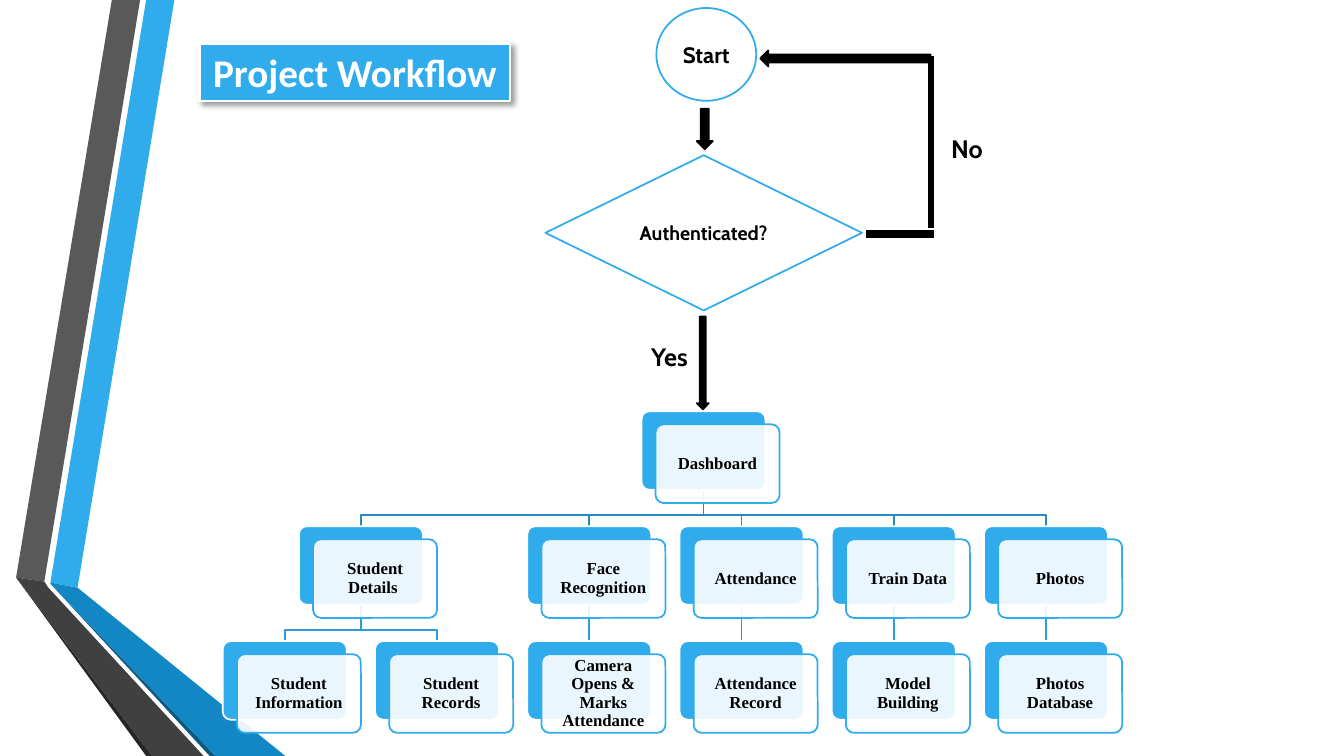
import dataclasses
import typing

import lxml.etree
import pptx
import pptx.dml.color
import pptx.enum.shapes
import pptx.enum.text
import pptx.oxml.ns
import pptx.util

Inches = pptx.util.Inches
Pt = pptx.util.Pt
Kind = pptx.enum.shapes.MSO_SHAPE
Point = tuple[float, float]

BLUE, BLACK, WHITE = "30ACEC", "000000", "FFFFFF"
WIDE, HIGH = 1.23, 0.78
LEFT, TOP = 2.21, 4.08
STEP, DROP = 1.51, 1.14
SHIFT_X, SHIFT_Y = 0.14, 0.13
BEND = 0.25
LINKS = {1: "268ABD", 2: "2C9CD6"}


@dataclasses.dataclass
class Band:
    color: str
    points: list[Point]


@dataclasses.dataclass
class Card:
    text: str
    col: float
    row: int
    root: typing.Optional[float] = None


@dataclasses.dataclass
class Mark:
    kind: Kind
    box: tuple[float, float, float, float]
    turn: int = 0
    fill: str = BLACK
    line: str = BLACK
    weight: float = 1.25
    text: str = ""
    size: int = 16


@dataclasses.dataclass
class Label:
    text: str
    x: float
    y: float


BANDS = [
    Band(BLUE, [(0.5, 5.78), (0.77, 5.83), (1.73, 0), (1.45, 0)]),
    Band("595959", [(1.39, 0), (1.11, 0), (0.16, 5.73), (0.44, 5.77)]),
    Band("262626", [(0.16, 5.73), (1.45, 7.5), (1.51, 7.5)]),
    Band("0C5A82", [(0.5, 5.79), (2.08, 7.5), (2.14, 7.5)]),
    Band("1287C3", [(0.5, 5.79), (2.14, 7.5), (2.83, 7.5), (0.77, 5.83), (0.5, 5.78)]),
    Band("404040", [(2.02, 7.5), (0.48, 5.83), (0.44, 5.77), (0.16, 5.73), (1.51, 7.5)]),
]

CARDS = [
    Card("Dashboard", 2.75, 0),
    Card("Student Details ", 0.5, 1, 2.75),
    Card("Student Information", 0, 2, 0.5),
    Card("Student Records", 1, 2, 0.5),
    Card("Face Recognition", 2, 1, 2.75),
    Card("Camera Opens & Marks Attendance", 2, 2, 2),
    Card("Attendance", 3, 1, 2.75),
    Card("Attendance Record", 3, 2, 3),
    Card("Train Data", 4, 1, 2.75),
    Card("Model Building", 4, 2, 4),
    Card("Photos", 5, 1, 2.75),
    Card("Photos Database", 5, 2, 5),
]

MARKS = [
    Mark(Kind.RIGHT_ARROW, (6.51, 3.54, 0.92, 0.12), 90),
    Mark(Kind.RECTANGLE, (8.35, 1.39, 1.77, 0.08), 270, line=WHITE, weight=1.75),
    Mark(Kind.DIAMOND, (5.41, 1.54, 3.14, 1.54), 0, WHITE, BLUE, text="Authenticated?", size=14),
    Mark(Kind.OVAL, (6.51, 0.08, 0.99, 0.92), 0, WHITE, BLUE, text="Start"),
    Mark(Kind.RIGHT_ARROW, (6.79, 1.2, 0.4, 0.16), 90),
    Mark(Kind.RECTANGLE, (8.58, 2.27, 0.7, 0.1), line=WHITE, weight=1.75),
    Mark(Kind.RIGHT_ARROW, (7.54, 0.5, 1.69, 0.16), 180),
]

LABELS = [Label("Yes", 6.25, 3.34), Label("No", 9.2, 1.27)]


def tint(code: str) -> pptx.dml.color.RGBColor:
    return pptx.dml.color.RGBColor.from_string(code)


def add_node(tag: str, host: typing.Any, **attrs: str) -> typing.Any:
    return lxml.etree.SubElement(host, pptx.oxml.ns.qn(tag), attrs)


def paint(shape: typing.Any, fill: str, line: str, weight: float = 1.25) -> None:
    shape.fill.solid()
    shape.fill.fore_color.rgb = tint(fill)
    shape.line.color.rgb = tint(line)
    shape.line.width = Pt(weight)


def write(shape: typing.Any, text: str, size: int, font: str = "Cabin", color: str = BLACK) -> typing.Any:
    frame = shape.text_frame
    frame.word_wrap = True
    frame.vertical_anchor = pptx.enum.text.MSO_ANCHOR.MIDDLE
    line = frame.paragraphs[0]
    line.alignment = pptx.enum.text.PP_ALIGN.CENTER
    run = line.add_run()
    run.text = text
    run.font.name = font
    run.font.size = Pt(size)
    run.font.bold = True
    run.font.color.rgb = tint(color)
    return frame


def trace(slide: typing.Any, points: list[Point], close: bool) -> typing.Any:
    spots = [(Inches(x), Inches(y)) for x, y in points]
    pen = slide.shapes.build_freeform(*spots[0])
    pen.add_line_segments(spots[1:], close=close)
    shape = pen.convert_to_shape()
    shape.shadow.inherit = False
    return shape


def add_band(slide: typing.Any, band: Band) -> None:
    shape = trace(slide, band.points, True)
    shape.fill.solid()
    shape.fill.fore_color.rgb = tint(band.color)
    shape.line.fill.background()


def add_link(slide: typing.Any, card: Card) -> None:
    start, end = (LEFT + col * STEP + WIDE / 2 for col in (card.root, card.col))
    low = TOP + card.row * DROP
    high = low - DROP + HIGH
    if start == end:
        straight = pptx.enum.shapes.MSO_CONNECTOR.STRAIGHT
        link = slide.shapes.add_connector(straight, Inches(start), Inches(high), Inches(end), Inches(low))
        add_node("a:effectLst", link._element.spPr)
    else:
        bend = high + BEND
        link = trace(slide, [(start, high), (start, bend), (end, bend), (end, low)], False)
        link.fill.background()
    link.line.color.rgb = tint(LINKS[card.row])
    link.line.width = Pt(1.25)


def add_shape(slide: typing.Any, kind: Kind, x: float, y: float, wide: float, high: float) -> typing.Any:
    shape = slide.shapes.add_shape(kind, Inches(x), Inches(y), Inches(wide), Inches(high))
    shape.shadow.inherit = False
    return shape


def add_card(slide: typing.Any, card: Card) -> None:
    x, y = LEFT + card.col * STEP, TOP + card.row * DROP
    back = add_shape(slide, Kind.ROUNDED_RECTANGLE, x, y, WIDE, HIGH)
    front = add_shape(slide, Kind.ROUNDED_RECTANGLE, x + SHIFT_X, y + SHIFT_Y, WIDE, HIGH)
    for shape, fill, line in ((back, BLUE, WHITE), (front, WHITE, BLUE)):
        shape.adjustments[0] = 0.1
        paint(shape, fill, line)
    shade = front._element.spPr.find(".//" + pptx.oxml.ns.qn("a:srgbClr"))
    add_node("a:alpha", shade, val="90000")
    frame = write(front, card.text, 12, "Times New Roman")
    frame.paragraphs[0].line_spacing = 0.9
    for side in ("left", "right", "top", "bottom"):
        setattr(frame, "margin_" + side, Inches(0.07))


def add_mark(slide: typing.Any, mark: Mark) -> None:
    shape = add_shape(slide, mark.kind, *mark.box)
    shape.rotation = mark.turn
    paint(shape, mark.fill, mark.line, mark.weight)
    if mark.text:
        write(shape, mark.text, mark.size)


def add_label(slide: typing.Any, label: Label) -> None:
    box = slide.shapes.add_textbox(Inches(label.x), Inches(label.y), Inches(0.78), Inches(0.4))
    write(box, label.text, 18)


def set_title(slide: typing.Any) -> None:
    title = slide.shapes.title
    title.left, title.top = Inches(1.98), Inches(0.43)
    title.width, title.height = Inches(3.08), Inches(0.57)
    paint(title, BLUE, WHITE, 1.75)
    write(title, "Project Workflow", 28, "Calibri", WHITE)
    glow = add_node("a:effectLst", title._element.spPr)
    shade = add_node("a:outerShdw", glow, blurRad=str(Pt(4)), dist=str(Pt(3)), dir="2700000", algn="tl")
    add_node("a:alpha", add_node("a:srgbClr", shade, val=BLACK), val="40000")


def main() -> None:
    deck = pptx.Presentation()
    deck.slide_width, deck.slide_height = Inches(13.33), Inches(7.5)
    slide = deck.slides.add_slide(deck.slide_layouts[5])
    set_title(slide)
    for band in BANDS:
        add_band(slide, band)
    for card in CARDS:
        if card.root is not None:
            add_link(slide, card)
    for card in CARDS:
        add_card(slide, card)
    for mark in MARKS:
        add_mark(slide, mark)
    for label in LABELS:
        add_label(slide, label)
    deck.save("out.pptx")


if __name__ == "__main__":
    main()
